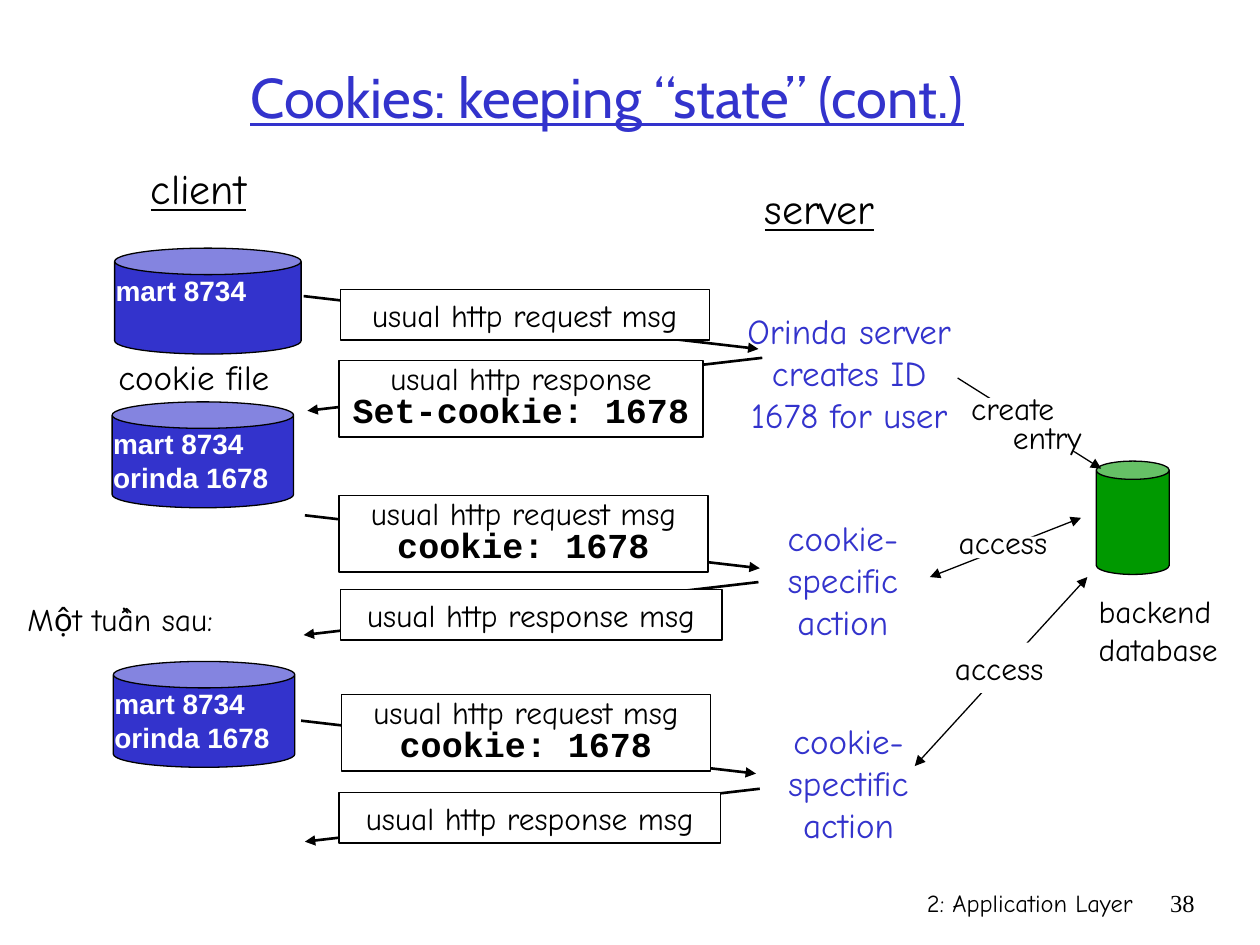
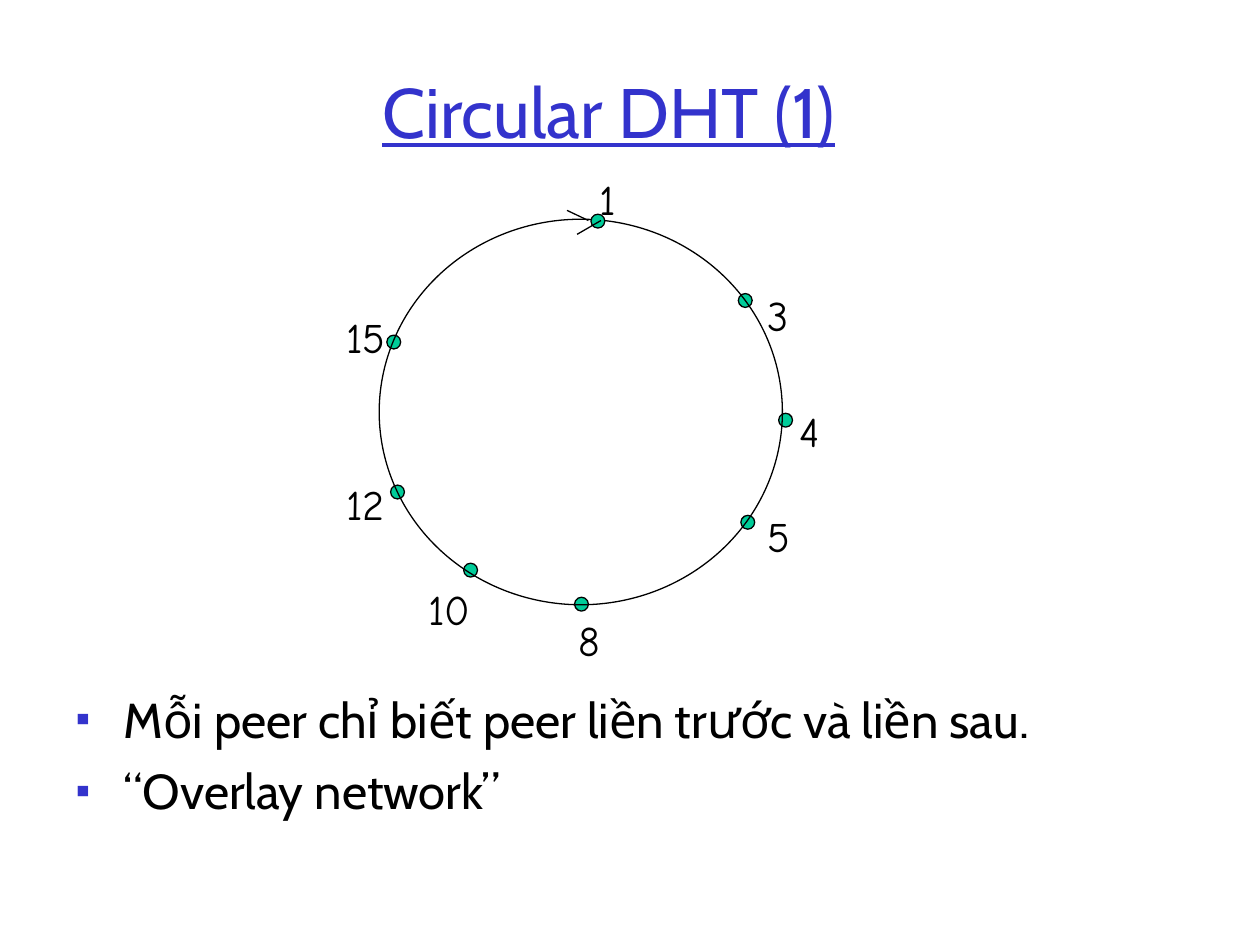
from dataclasses import dataclass

from lxml import etree
from pptx import Presentation
from pptx.dml.color import RGBColor
from pptx.enum.shapes import MSO_CONNECTOR, MSO_SHAPE
from pptx.enum.text import MSO_ANCHOR, MSO_AUTO_SIZE, PP_ALIGN
from pptx.oxml.ns import qn
from pptx.util import Inches, Pt

LEFT, CENTER, RIGHT = PP_ALIGN.LEFT, PP_ALIGN.CENTER, PP_ALIGN.RIGHT
TOP, MIDDLE = MSO_ANCHOR.TOP, MSO_ANCHOR.MIDDLE
RECTANGLE, OVAL, CAN = MSO_SHAPE.RECTANGLE, MSO_SHAPE.OVAL, MSO_SHAPE.CAN
STRAIGHT = MSO_CONNECTOR.STRAIGHT
NO_AUTOFIT = MSO_AUTO_SIZE.NONE
TITLE_AND_CONTENT, TITLE_ONLY = 1, 5


@dataclass(frozen=True)
class TextStyle:
    font: str
    size: int
    color: str = "000000"
    bold: bool = False
    underline: bool = False


@dataclass(frozen=True)
class Theme:
    black: str = "000000"
    white: str = "FFFFFF"
    blue: str = "3333CC"
    green: str = "009900"
    teal: str = "00CC99"
    thin: float = 0.75
    thick: float = 1.5
    title: TextStyle = TextStyle("Cabin", 32, "3333CC", underline=True)
    big_title: TextStyle = TextStyle("Cabin", 40, "3333CC", underline=True)
    bullet: TextStyle = TextStyle("Cabin", 28)
    heading: TextStyle = TextStyle("Comic Neue", 24, underline=True)
    peer: TextStyle = TextStyle("Comic Neue", 24)
    caption: TextStyle = TextStyle("Comic Neue", 20)
    action: TextStyle = TextStyle("Comic Neue", 20, "3333CC")
    label: TextStyle = TextStyle("Comic Neue", 18)
    header: TextStyle = TextStyle("Courier New", 20, bold=True)
    cookie: TextStyle = TextStyle("Arial", 16, "FFFFFF", bold=True)
    footer: TextStyle = TextStyle("Comic Neue", 14)
    number: TextStyle = TextStyle("Times New Roman", 14)


class Deck:
    """Holds the style and the current slide."""

    def __init__(self, theme):
        self.theme = theme
        self.presentation = Presentation()
        self.presentation.slide_width = Inches(10)
        self.presentation.slide_height = Inches(7.5)
        self.slide = None

    def new_slide(self, layout):
        layouts = self.presentation.slide_layouts
        self.slide = self.presentation.slides.add_slide(layouts[layout])

    # Text
    def fill_text(self, frame, lines, styles, align=LEFT, spacing=1.0, anchor=TOP):
        """Fill a frame; styles is one style or one for each line."""
        if isinstance(styles, TextStyle):
            styles = [styles] * len(lines)
        frame.text = "\n".join(lines)
        frame.auto_size = NO_AUTOFIT
        frame.vertical_anchor = anchor
        for paragraph, style in zip(frame.paragraphs, styles):
            paragraph.alignment = align
            paragraph.line_spacing = spacing
            for run in paragraph.runs:
                run.font.name = style.font
                run.font.size = Pt(style.size)
                run.font.bold = style.bold
                run.font.underline = style.underline
                run.font.color.rgb = RGBColor.from_string(style.color)

    def text(self, x, y, width, height, lines, styles, align=LEFT,
             spacing=1.0, wrap=False):
        box = self.slide.shapes.add_textbox(
            Inches(x), Inches(y), Inches(width), Inches(height))
        box.text_frame.word_wrap = wrap
        self.fill_text(box.text_frame, lines, styles, align, spacing)
        return box

    def place(self, shape, x, y, width, height):
        shape.left, shape.top = Inches(x), Inches(y)
        shape.width, shape.height = Inches(width), Inches(height)

    def title(self, x, y, words, style):
        shape = self.slide.shapes.title
        self.place(shape, x, y, 8.5, 1.25)
        self.fill_text(shape.text_frame, [words], style, CENTER, anchor=MIDDLE)

    def bullets(self, x, y, width, height, lines):
        shape = self.slide.placeholders[1]
        self.place(shape, x, y, width, height)
        self.fill_text(shape.text_frame, lines, self.theme.bullet)
        for index, paragraph in enumerate(shape.text_frame.paragraphs):
            paragraph.space_before = Pt(7 if index else 0)
            properties = paragraph._p.get_or_add_pPr()
            properties.set("marL", str(Inches(0.38)))
            properties.set("indent", str(-Inches(0.38)))
            color = etree.SubElement(properties, qn("a:buClr"))
            etree.SubElement(color, qn("a:srgbClr"), val=self.theme.blue)
            etree.SubElement(properties, qn("a:buSzPct"), val="85000")
            etree.SubElement(properties, qn("a:buFont"), typeface="Arial")
            etree.SubElement(properties, qn("a:buChar"), char="▪")

    def footer(self, words, number):
        self.text(5.92, 7, 3.17, 0.5, [words], self.theme.footer, RIGHT, wrap=True)
        self.text(9.08, 7, 0.5, 0.5, [number], self.theme.number, RIGHT, wrap=True)

    # Shapes and lines
    def shape(self, kind, x, y, width, height, fill=None, outlined=True):
        shape = self.slide.shapes.add_shape(
            kind, Inches(x), Inches(y), Inches(width), Inches(height))
        shape.shadow.inherit = False
        if fill:
            shape.fill.solid()
            shape.fill.fore_color.rgb = RGBColor.from_string(fill)
        else:
            shape.fill.background()
        if outlined:
            shape.line.color.rgb = RGBColor.from_string(self.theme.black)
            shape.line.width = Pt(self.theme.thin)
        else:
            shape.line.fill.background()
        return shape

    def patch(self, x, y, width, height):
        """White area that interrupts a line behind a label."""
        self.shape(RECTANGLE, x, y, width, height, self.theme.white, outlined=False)

    def line(self, start, end, weight, arrows=()):
        points = [Inches(value) for value in (*start, *end)]
        connector = self.slide.shapes.add_connector(STRAIGHT, *points)
        connector.line.color.rgb = RGBColor.from_string(self.theme.black)
        connector.line.width = Pt(weight)
        outline = connector.line._get_or_add_ln()
        for arrow in arrows:
            etree.SubElement(outline, qn(f"a:{arrow}"), type="triangle")
        etree.SubElement(connector._element.spPr, qn("a:effectLst"))

    def message(self, start, box, lines, to_server):
        """Slanted arrow between client and server with its message box."""
        x, y = start
        run = 3.61 if to_server else -3.61
        self.line(start, (x + run, y + 0.42), self.theme.thick, ["tailEnd"])
        height = 0.4 if len(lines) == 1 else 0.61
        shape = self.shape(RECTANGLE, *box, height, self.theme.white)
        shape.text_frame.word_wrap = True
        self.fill_text(shape.text_frame, lines, [self.theme.label, self.theme.header],
                       CENTER, 1.0 if len(lines) == 1 else 0.8)

    def cookie_file(self, x, y, width, lines):
        self.shape(CAN, x, y, width, 0.84, self.theme.blue)
        self.text(x - 0.09, y + 0.15, 1.74, 0.64, lines, self.theme.cookie, wrap=True)


def build_cookies(deck):
    theme = deck.theme
    deck.new_slide(TITLE_ONLY)
    deck.title(0.57, 0.14, "Cookies: keeping “state” (cont.)", theme.title)
    deck.footer("2: Application Layer", "38")

    # Column headings and captions
    deck.text(1.1, 1.24, 0.95, 0.5, ["client"], theme.heading, CENTER)
    deck.text(5.97, 1.4, 1.07, 0.5, ["server"], theme.heading, CENTER)
    deck.text(0.84, 2.77, 1.95, 0.44, ["cookie file"], theme.caption, wrap=True)
    deck.text(0.12, 4.71, 1.67, 0.4, ["Một tuần sau:"], theme.label)

    # Cookie files of the client
    first_cookie, second_cookie = "mart 8734", "orinda 1678"
    deck.cookie_file(0.91, 1.97, 1.48, [first_cookie])
    for x, y in ((0.89, 3.19), (0.9, 5.25)):
        deck.cookie_file(x, y, 1.44, [first_cookie, second_cookie])

    # Messages: arrow start, box left, top and width, text, direction
    request, response = "usual http request msg", "usual http response msg"
    messages = (
        ((2.41, 2.35), (2.7, 2.3, 2.93), [request], True),
        ((6.05, 2.84), (2.69, 2.86, 2.89),
         ["usual http response", "Set-cookie: 1678"], False),
        ((2.42, 4.09), (2.69, 3.93, 2.93), [request, "cookie: 1678"], True),
        ((6.02, 4.62), (2.7, 4.68, 3.03), [response], False),
        ((2.39, 5.72), (2.71, 5.51, 2.93), [request, "cookie: 1678"], True),
        ((6.03, 6.26), (2.69, 6.29, 3.03), [response], False),
    )
    for message in messages:
        deck.message(*message)

    # Server actions
    actions = (
        (5.75, 2.41, 1.98, ["Orinda server", "creates ID", "1678 for user"]),
        (6.15, 4.05, 1.08, ["cookie-", "specific", "action"]),
        (6.16, 5.66, 1.15, ["cookie-", "spectific", "action"]),
    )
    for x, y, width, lines in actions:
        deck.text(x, y, width, 1.1, lines, theme.action, CENTER)

    # Backend database
    deck.shape(CAN, 8.7, 3.66, 0.58, 0.9, theme.green)
    deck.text(8.62, 4.65, 1.15, 0.7, ["backend", "database"], theme.label)

    # Database access
    deck.line((7.6, 3), (8.74, 3.72), theme.thin, ["tailEnd"])
    deck.patch(7.76, 3.16, 1.05, 0.42)
    entry = deck.text(7.61, 3.11, 1.28, 0.55, ["create", "entry"], theme.label,
                      spacing=0.75, wrap=True)
    indented = entry.text_frame.paragraphs[1]._p.get_or_add_pPr()
    indented.set("marL", str(Inches(0.33)))
    accesses = (
        ((7.38, 4.58), (8.58, 4.11), (7.65, 4.26, 0.67, 0.17), (7.51, 4.1)),
        ((7.26, 6.08), (8.63, 4.58), (7.48, 5.1, 0.9, 0.4), (7.48, 5.1)),
    )
    for start, end, gap, position in accesses:
        deck.line(start, end, theme.thin, ["headEnd", "tailEnd"])
        deck.patch(*gap)
        deck.text(*position, 0.9, 0.4, ["access"], theme.label)


def build_circular_dht(deck):
    theme = deck.theme
    deck.new_slide(TITLE_AND_CONTENT)
    deck.title(0.58, 0.25, "Circular DHT (1)", theme.big_title)

    # Peers: name, dot corner, label corner and width
    peers = (
        ("3", (5.86, 2.33), (5.99, 2.25, 0.37)),
        ("4", (6.18, 3.28), (6.25, 3.17, 0.36)),
        ("5", (5.88, 4.09), (5.99, 4, 0.38)),
        ("8", (4.56, 4.74), (4.49, 4.83, 0.37)),
        ("10", (3.68, 4.47), (3.3, 4.58, 0.53)),
        ("12", (3.1, 3.85), (2.65, 3.75, 0.5)),
        ("15", (3.07, 2.66), (2.65, 2.42, 0.51)),
        ("1", (4.69, 1.7), (4.66, 1.33, 0.33)),
    )
    for name, dot, label in peers:
        if name == "1":  # the ring runs under the first peer only
            deck.shape(OVAL, 3.01, 1.74, 3.2, 3.06)
        deck.shape(OVAL, *dot, 0.11, 0.11, theme.teal)
        deck.text(*label, 0.5, [name], theme.peer)

    # Direction mark on the ring
    deck.line((4.5, 1.67), (4.67, 1.75), theme.thin)
    deck.line((4.77, 1.75), (4.58, 1.86), theme.thin)

    deck.bullets(0.5, 5.42, 9, 1.67, [
        "Mỗi peer chỉ biết peer liền trước và liền sau.",
        "“Overlay network”",
    ])


def main():
    deck = Deck(Theme())
    build_cookies(deck)
    build_circular_dht(deck)
    deck.presentation.save("out.pptx")


if __name__ == "__main__":
    main()
